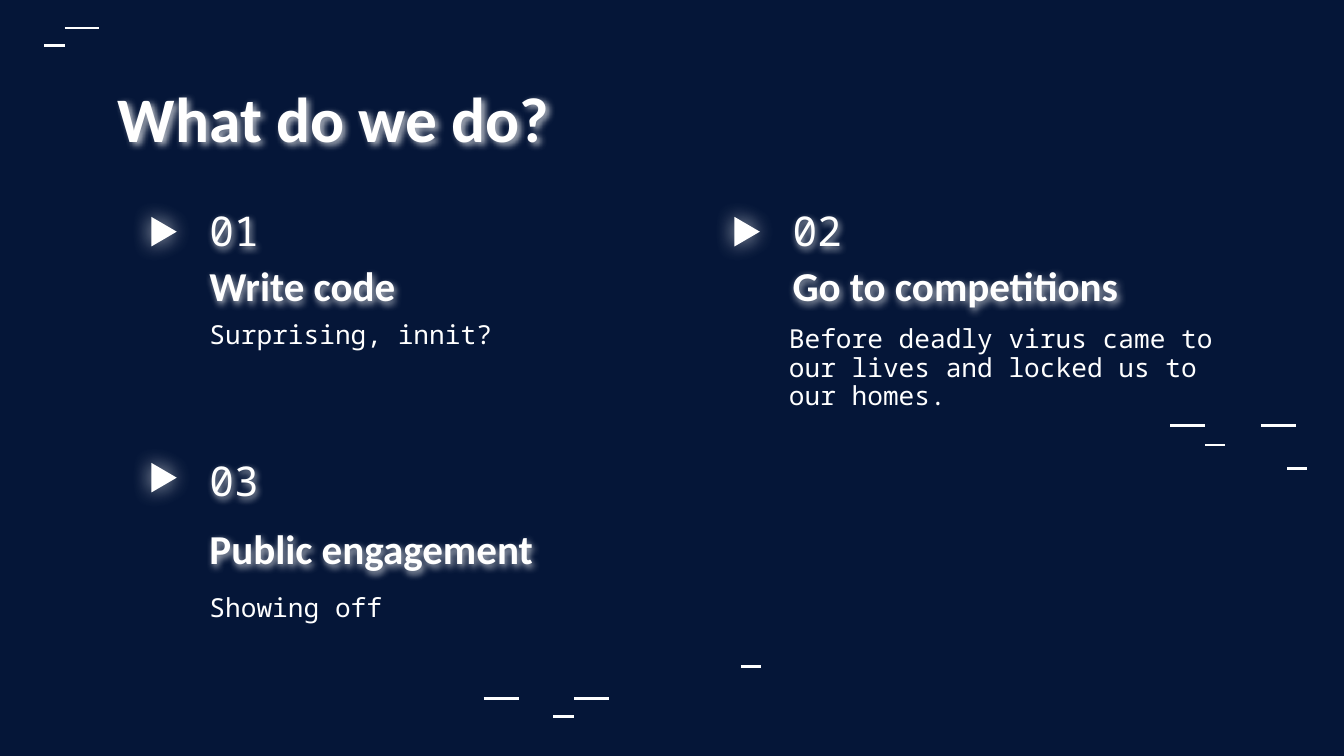
from lxml import etree
from pptx import Presentation
from pptx.dml.color import RGBColor
from pptx.enum.shapes import MSO_CONNECTOR, MSO_SHAPE
from pptx.enum.text import MSO_ANCHOR, MSO_AUTO_SIZE, PP_ALIGN
from pptx.oxml.ns import qn
from pptx.util import Cm, Pt

NAVY = RGBColor(0x05, 0x16, 0x38)
WHITE = RGBColor(0xFF, 0xFF, 0xFF)
HEADING_FONT = "Calibri"
MONO_FONT = "Noto Sans Mono"

LONG, SHORT = 0.66, 0.38
DASHES = [  # left, top, length in cm
    (9.14, 13.21, LONG), (10.85, 13.21, LONG),
    (10.46, 13.54, SHORT), (14.0, 12.6, SHORT),
    (1.22, 0.53, LONG), (0.84, 0.86, SHORT),
    (22.12, 8.05, LONG), (23.83, 8.05, LONG),
    (22.78, 8.41, SHORT), (24.33, 8.86, SHORT),
]

LEFT, RIGHT = 3.71, 14.73
ACTIVITIES = [  # number, name, description, left, tops, description left and width
    ("01", "Write code", "Surprising, innit?",
     LEFT, (4.14, 3.53, 4.65, 5.84), LEFT, 8.13),
    ("02", "Go to competitions",
     "Before deadly virus came to our lives and locked us to our homes.",
     RIGHT, (4.14, 3.53, 4.65, 5.92), 14.66, 9.17),
    ("03", "Public engagement", "Showing off",
     LEFT, (8.79, 8.26, 9.63, 11.0), LEFT, 8.13),
]


def add_glow(shape, blur, distance, opacity):
    """Give the shape a soft white shadow, or none when opacity is 0."""
    properties = shape._element.spPr
    for old in properties.findall(qn("a:effectLst")):
        properties.remove(old)
    effects = etree.SubElement(properties, qn("a:effectLst"))
    if opacity:
        shadow = etree.SubElement(
            effects, qn("a:outerShdw"), blurRad=str(Pt(blur)),
            dist=str(Pt(distance)), dir="2700000", algn="bl", rotWithShape="0")
        color = etree.SubElement(shadow, qn("a:srgbClr"), val=str(WHITE))
        etree.SubElement(color, qn("a:alpha"), val=str(opacity * 1000))


def write_text(shape, text, size, font=HEADING_FONT, bold=False,
               anchor=MSO_ANCHOR.TOP, spacing=1.0):
    frame = shape.text_frame
    frame.word_wrap = True
    frame.auto_size = MSO_AUTO_SIZE.NONE
    frame.vertical_anchor = anchor
    frame.margin_left = frame.margin_right = Cm(0.25)
    frame.margin_top = frame.margin_bottom = Cm(0.25)
    paragraph = frame.paragraphs[0]
    paragraph.alignment = PP_ALIGN.LEFT
    paragraph.line_spacing = spacing
    run = paragraph.add_run()
    run.text = text
    run.font.name = font
    run.font.size = Pt(size)
    run.font.bold = bold
    run.font.color.rgb = WHITE


class SlideBuilder:
    def __init__(self, slide):
        self.slide = slide
        slide.background.fill.solid()
        slide.background.fill.fore_color.rgb = NAVY

    def title(self, text, left, top, width, height):
        shape = self.slide.shapes.title
        shape.left, shape.top = Cm(left), Cm(top)
        shape.width, shape.height = Cm(width), Cm(height)
        write_text(shape, text, size=34, bold=True)
        add_glow(shape, blur=4, distance=1.5, opacity=70)

    def text(self, text, left, top, width, height, glow=False, **text_format):
        shape = self.slide.shapes.add_textbox(
            Cm(left), Cm(top), Cm(width), Cm(height))
        write_text(shape, text, **text_format)
        if glow:
            add_glow(shape, blur=4, distance=1.5, opacity=70)

    def arrow(self, left, top):
        shape = self.slide.shapes.add_shape(
            MSO_SHAPE.ISOSCELES_TRIANGLE, Cm(left), Cm(top), Cm(0.56), Cm(0.48))
        shape.rotation = 90
        shape.fill.solid()
        shape.fill.fore_color.rgb = WHITE
        shape.line.fill.background()
        add_glow(shape, blur=11.2, distance=0, opacity=71)

    def dash(self, left, top, length):
        line = self.slide.shapes.add_connector(
            MSO_CONNECTOR.STRAIGHT, Cm(left), Cm(top), Cm(left + length), Cm(top))
        line.line.color.rgb = WHITE
        line.line.width = Pt(1.5)
        add_glow(line, blur=0, distance=0, opacity=0)

    def activity(self, number, name, description, left, tops,
                 description_left, description_width):
        arrow_top, number_top, name_top, description_top = tops
        self.arrow(left - 0.89, arrow_top)
        self.text(number, left, number_top, 4.17, 1.55, glow=True, size=22,
                  font=MONO_FONT, anchor=MSO_ANCHOR.BOTTOM, spacing=0.9)
        self.text(name, left, name_top, 11.02, 1.47, glow=True, size=22,
                  bold=True, anchor=MSO_ANCHOR.MIDDLE)
        self.text(description, description_left, description_top,
                  description_width, 1.7, size=14, font=MONO_FONT, spacing=0.9)


def main():
    presentation = Presentation()
    presentation.slide_width, presentation.slide_height = Cm(25.4), Cm(14.29)
    title_only = presentation.slide_layouts[5]
    builder = SlideBuilder(presentation.slides.add_slide(title_only))
    builder.title("What do we do?", 1.98, 1.24, 21.44, 2.06)
    for dash in DASHES:
        builder.dash(*dash)
    for activity in ACTIVITIES:
        builder.activity(*activity)
    presentation.save("out.pptx")


if __name__ == "__main__":
    main()
